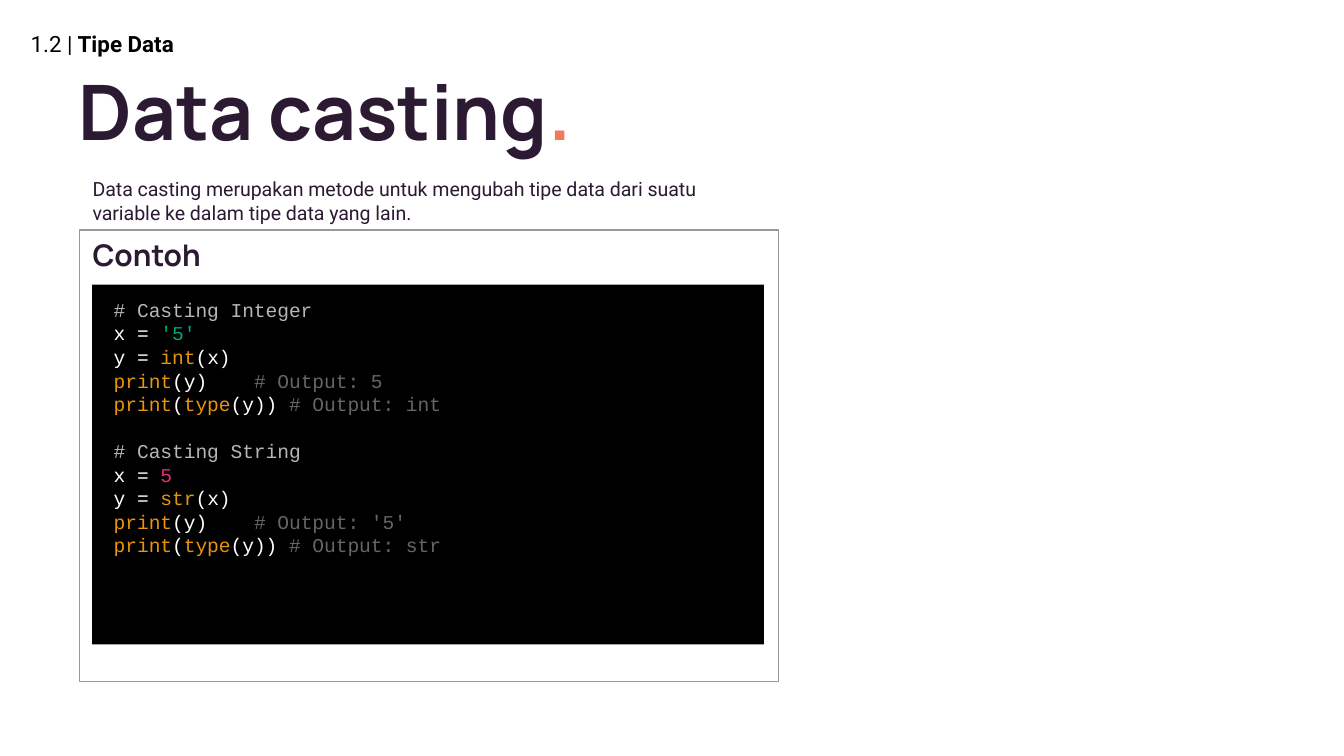
from pptx import Presentation
from pptx.dml.color import RGBColor
from pptx.enum.shapes import MSO_SHAPE
from pptx.enum.text import MSO_ANCHOR, MSO_AUTO_SIZE, PP_ALIGN
from pptx.util import Cm, Pt

BLACK = RGBColor(0x00, 0x00, 0x00)
WHITE = RGBColor(0xFF, 0xFF, 0xFF)
PLUM = RGBColor(0x2C, 0x1A, 0x32)
CORAL = RGBColor(0xF0, 0x7A, 0x5A)
BORDER = RGBColor(0x99, 0x99, 0x99)
COMMENT = RGBColor(0xB7, 0xB7, 0xB7)
OUTPUT = RGBColor(0x66, 0x66, 0x66)
KEYWORD = RGBColor(0xE9, 0x95, 0x0C)
STRING = RGBColor(0x00, 0xA6, 0x7D)
NUMBER = RGBColor(0xDF, 0x30, 0x79)

HEADING_FONT, BODY_FONT, CODE_FONT = "Manrope", "Roboto", "Courier New"
BODY_SIZE = 10.5
CODE_PITCH = Pt(12.6)
INSET = Cm(0.25)


def casting_example(comment, value, value_color, function, output):
    """Return the code lines of one example as lists of (text, colour)."""
    return [
        [(f"# {comment}", COMMENT)],
        [("x = ", WHITE), (value, value_color)],
        [("y = ", WHITE), (function, KEYWORD), ("(x)", WHITE)],
        [("print", KEYWORD), ("(y)    ", WHITE), (f"# Output: {output}", OUTPUT)],
        [("print", KEYWORD), ("(", WHITE), ("type", KEYWORD), ("(y)) ", WHITE),
         (f"# Output: {function}", OUTPUT)],
    ]


class LessonSlide:
    def __init__(self, deck):
        self.slide = deck.slides.add_slide(deck.slide_layouts[5])

    def set_frame(self, shape, anchor):
        frame = shape.text_frame
        frame.word_wrap = True
        frame.auto_size = MSO_AUTO_SIZE.NONE
        frame.vertical_anchor = anchor
        frame.margin_left = frame.margin_right = INSET
        frame.margin_top = frame.margin_bottom = INSET
        return frame

    def add_run(self, paragraph, text, font, size, color, bold=False):
        run = paragraph.add_run()
        run.text = text
        run.font.name = font
        run.font.size = Pt(size)
        run.font.bold = bold
        run.font.color.rgb = color

    def title(self, left, top, width, height, text, mark):
        title = self.slide.shapes.title
        title.left, title.top = Cm(left), Cm(top)
        title.width, title.height = Cm(width), Cm(height)
        paragraph = self.set_frame(title, MSO_ANCHOR.MIDDLE).paragraphs[0]
        paragraph.alignment = PP_ALIGN.LEFT
        paragraph.line_spacing = 0.8
        self.add_run(paragraph, text, HEADING_FONT, 41, PLUM, True)
        self.add_run(paragraph, mark, HEADING_FONT, 41, CORAL, True)

    def text(self, left, top, width, height, runs, size, color,
             anchor=MSO_ANCHOR.TOP):
        """Add a text box; runs are (text, bold) pairs."""
        box = self.slide.shapes.add_textbox(
            Cm(left), Cm(top), Cm(width), Cm(height))
        paragraph = self.set_frame(box, anchor).paragraphs[0]
        for text, bold in runs:
            self.add_run(paragraph, text, BODY_FONT, size, color, bold)

    def rectangle(self, left, top, width, height, fill=None, line=None):
        shape = self.slide.shapes.add_shape(
            MSO_SHAPE.RECTANGLE, Cm(left), Cm(top), Cm(width), Cm(height))
        shape.shadow.inherit = False
        if fill is None:
            shape.fill.background()
        else:
            shape.fill.solid()
            shape.fill.fore_color.rgb = fill
        if line is None:
            shape.line.fill.background()
        else:
            shape.line.color.rgb = line
            shape.line.width = Pt(0.75)
        return self.set_frame(shape, MSO_ANCHOR.TOP)

    def panel(self, left, top, width, height, heading):
        frame = self.rectangle(left, top, width, height, line=BORDER)
        paragraph = frame.paragraphs[0]
        paragraph.alignment = PP_ALIGN.LEFT
        paragraph.line_spacing = 0.8
        self.add_run(paragraph, heading, HEADING_FONT, 16, PLUM, True)

    def code(self, left, top, width, height, examples):
        frame = self.rectangle(left, top, width, height, fill=BLACK)
        frame.margin_left = Cm(0.41)
        paragraph = frame.paragraphs[0]
        for example_index, example in enumerate(examples):
            for line_index, tokens in enumerate(example):
                if example_index or line_index:
                    paragraph = frame.add_paragraph()
                if example_index and not line_index:
                    paragraph.space_before = CODE_PITCH
                paragraph.alignment = PP_ALIGN.JUSTIFY
                paragraph.line_spacing = CODE_PITCH
                for text, color in tokens:
                    self.add_run(paragraph, text, CODE_FONT, BODY_SIZE, color)


def main():
    deck = Presentation()
    deck.slide_width, deck.slide_height = Cm(25.4), Cm(14.29)

    lesson = LessonSlide(deck)
    lesson.text(0.33, 0.18, 8.94, 1.27, [("1.2 |", False), (" Tipe Data", True)],
                12, BLACK, MSO_ANCHOR.MIDDLE)
    lesson.title(1.24, 0.25, 19.3, 3.99, "Data casting", ".")
    lesson.text(1.5, 3.1, 13.21, 1.42,
                [("Data casting merupakan metode untuk mengubah tipe data dari "
                  "suatu variable ke dalam tipe data yang lain.", False)],
                BODY_SIZE, PLUM)
    lesson.panel(1.5, 4.35, 13.21, 8.53, "Contoh")
    lesson.code(1.74, 5.38, 12.7, 6.8, [
        casting_example("Casting Integer", "'5'", STRING, "int", "5"),
        casting_example("Casting String", "5", NUMBER, "str", "'5'"),
    ])
    deck.save("out.pptx")


if __name__ == "__main__":
    main()
